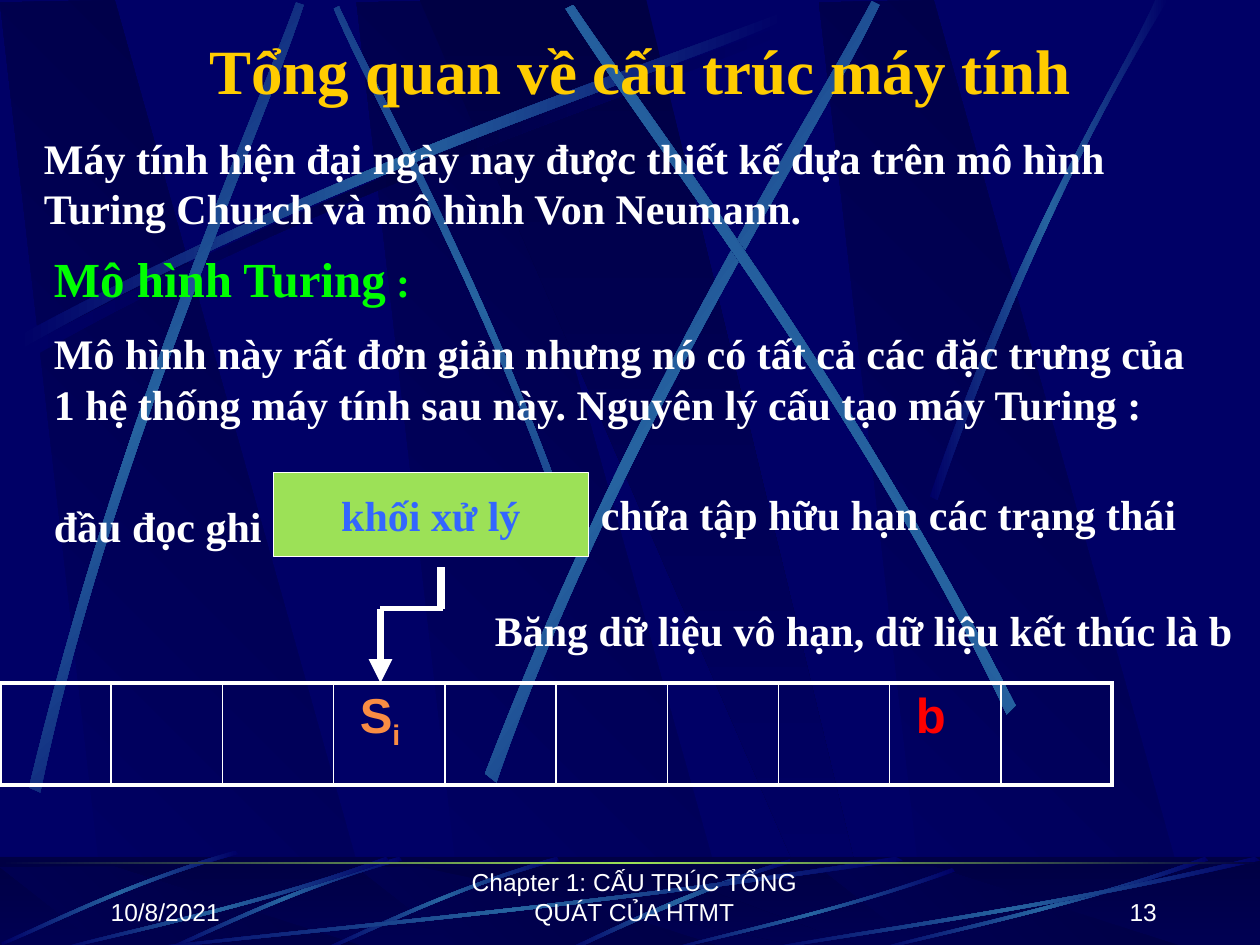
from copy import deepcopy
from typing import NamedTuple

from lxml import etree
from pptx import Presentation
from pptx.dml.color import RGBColor
from pptx.enum import shapes as kinds, text as txt
from pptx.oxml.ns import qn
from pptx.util import Inches, Pt

HUE = {"navy": "000066", "dark": "000044", "ray": "2663A0", "lime": "9CE157",
       "white": "FFFFFF", "gold": "FFCC00", "green": "00FF00",
       "blue": "3366FF", "orange": "F98D43", "red": "FF0000"}
SERIF, SANS = "Times New Roman", "Arial"
LEFT, MID, RIGHT = txt.PP_ALIGN.LEFT, txt.PP_ALIGN.CENTER, txt.PP_ALIGN.RIGHT
GLOW = ("navy", "ray", "navy")
SHADE = ("navy", "dark", "navy")
FADE = ("navy", "dark")
RISE = ("dark", "navy")


class Ray(NamedTuple):
    """Two Bezier edges, four points each, drawn at each move."""
    pts: list
    angle: float = 0
    moves: tuple = ((0, 0),)
    hues: tuple = GLOW


class Note(NamedTuple):
    box: tuple
    words: str
    size: int = 24
    face: str = SERIF
    align: int = LEFT
    low: bool = False


def rgb(name: str) -> RGBColor:
    return RGBColor.from_string(HUE[name])


def blend(shape, hues: tuple, angle: float) -> None:
    """Give the shape an even linear gradient and no outline."""
    shape.shadow.inherit = False
    shape.line.fill.background()
    shape.fill.gradient()
    shape.fill.gradient_angle = angle
    stops = shape._element.spPr.find(".//" + qn("a:gsLst"))
    for _ in hues[2:]:
        stops.append(deepcopy(stops[-1]))
    for i, (stop, hue) in enumerate(zip(shape.fill.gradient_stops, hues)):
        stop.color.rgb = rgb(hue)
        stop.position = i / (len(hues) - 1)


def poly(pool, pts: list, hues: tuple, angle: float):
    ends = [(Inches(x), Inches(y)) for x, y in pts]
    pen = pool.build_freeform(*ends[0], scale=1.0)
    pen.add_line_segments(ends[1:], close=True)
    shape = pen.convert_to_shape()
    blend(shape, hues, angle)
    return shape


def beam(pool, ray: Ray) -> None:
    for dx, dy in ray.moves:
        pts = [(x + dx, y + dy) for x, y in ray.pts]
        shape = poly(pool, pts, ray.hues, ray.angle)
        legs = list(shape._element.iter(qn("a:lnTo")))
        for trio in (legs[:3], legs[4:7]):
            bend = etree.Element(qn("a:cubicBezTo"))
            trio[0].addprevious(bend)
            for leg in trio:
                bend.append(leg[0])
                leg.getparent().remove(leg)


def rect(pool, x: float, y: float, w: float, h: float):
    shape = pool.add_shape(kinds.MSO_SHAPE.RECTANGLE, *map(Inches, (x, y, w, h)))
    shape.shadow.inherit = False
    return shape


def style(font, size: int, face: str, hue: str, bold: bool = True) -> None:
    font.size, font.name, font.bold = Pt(size), face, bold
    font.color.rgb = rgb(hue)


def write(note: Note):
    frame = slide.shapes.add_textbox(*map(Inches, note.box)).text_frame
    frame.word_wrap = True
    if note.low:
        frame.vertical_anchor = txt.MSO_ANCHOR.BOTTOM
    para = frame.paragraphs[0]
    para.text, para.alignment = note.words, note.align
    style(para.font, note.size, note.face, "white", note.face == SERIF)
    return frame


def link(a: tuple, b: tuple, width: float, arrow: bool = False) -> None:
    wire = slide.shapes.add_connector(kinds.MSO_CONNECTOR.STRAIGHT,
                                      *map(Inches, a + b))
    wire.line.width = Pt(width)
    wire.line.color.rgb = rgb("white")
    etree.SubElement(wire._element.spPr, qn("a:effectLst"))
    if arrow:
        etree.SubElement(wire.line._get_or_add_ln(), qn("a:tailEnd"), type="triangle")


def frame_cell(cell, sides: dict) -> None:
    """Draw white borders; sides maps L, R, T, B to points."""
    props = cell._tc.get_or_add_tcPr()
    for i, (side, width) in enumerate(sides.items()):
        line = etree.Element(qn(f"a:ln{side}"), w=str(Pt(width)))
        fill = etree.SubElement(line, qn("a:solidFill"))
        etree.SubElement(fill, qn("a:srgbClr"), val=HUE["white"])
        props.insert(i, line)


def run(para, words: str, size: int, face: str, hue: str):
    part = para.add_run()
    part.text = words
    style(part.font, size, face, hue)
    return part


PANEL = [(0.86, 7.5), (3.02, 7.52), (0.91, 0), (0, 0.02)]
WEDGE = [(3.33, 0), (6.58, 7.5), (6.94, 7.5), (5.13, 0)]
LONG = [(0.14, 2.67), (2.78, 1.25), (5.18, 0.51), (6.2, 0.1),
        (6.23, 0.16), (5.22, 0.61), (2.48, 1.43), (0.17, 2.77)]
RAYS = [
    Ray(LONG, moves=((0.06, 0.08),), hues=SHADE),
    Ray([(4.6, 4.36), (3.91, 2.34), (3.02, 0.77), (2.69, 0.05),
         (2.65, 0.07), (2.95, 0.79), (3.98, 2.58), (4.54, 4.39)], 45),
    Ray(LONG),
    Ray([(0.23, 6.25), (0.93, 3.34), (1.97, 1.05), (2.35, 0.02),
         (2.41, 0.04), (2.07, 1.09), (0.86, 3.68), (0.32, 6.29)], 312),
    Ray([(3.85, 6.14), (4.98, 3.2), (6.38, 1.02), (6.92, 0.01),
         (6.98, 0.04), (6.49, 1.08), (4.86, 3.55), (3.94, 6.21)], 322),
    Ray([(8.06, 5.6), (6.7, 2.93), (5.16, 0.95), (4.55, 0.04),
         (4.49, 0.07), (5.07, 1.01), (6.85, 3.25), (7.99, 5.67)], 35),
    Ray([(7.38, 3.94), (8.14, 1.73), (8.88, 0.66), (9.17, 0),
         (9.27, 0), (8.36, 1.45), (7.69, 3.22), (7.44, 3.97)]),
]
FOOT = [
    Ray([(6.27, 6.82), (5.37, 7.09), (4.77, 7.42), (4.48, 7.54),
         (4.53, 7.55), (4.9, 7.38), (5.71, 7), (6.28, 6.85)]),
    Ray([(4.42, 6.8), (3.55, 7.05), (2.87, 7.4), (2.56, 7.53),
         (2.57, 7.55), (2.88, 7.43), (3.65, 7.03), (4.44, 6.83)],
        moves=((0, 0), (-1.25, 0), (-2.55, -0.05))),
]
# One low sweep in a unit box, then the boxes it fills: left, top, width, height
SWEEP = [(1, 0.04), (0.57, 0.57), (0.17, 0.85), (0.01, 1),
         (0, 0.99), (0.16, 0.81), (0.61, 0.51), (0.99, 0)]
SPANS = [(1, 6.8, 6.17, 0.75), (0.42, 6.8, 2.67, 0.75), (5.27, 6.89, 2.31, 0.66),
         (6.92, 6.8, 2.67, 0.75), (6, 6.8, 4, 0.75)]
NOTES = [
    Note((0.78, 6.9, 2.08, 0.5), "10/8/2021", 14, SANS, LEFT, True),
    Note((3.45, 6.9, 3.17, 0.5), "Chapter 1: CẤU TRÚC TỔNG QUÁT CỦA HTMT",
         14, SANS, MID, True),
    Note((7.2, 6.9, 2.08, 0.5), "13", 14, SANS, RIGHT, True),
    Note((0.25, 1, 9.42, 0.9), "Máy tính hiện đại ngày nay được thiết kế dựa trên "
         "mô hình Turing Church và mô hình Von Neumann."),
    Note((0.33, 3.92, 2, 0.5), "đầu đọc ghi"),
    Note((4.67, 3.83, 4.92, 0.5), "chứa tập hữu hạn các trạng thái"),
    Note((3.83, 4.75, 6.17, 0.5), "Băng dữ liệu vô hạn, dữ liệu kết thúc là b"),
]


def backdrop() -> None:
    """Draw the rays as one group and hand it to the slide master."""
    master = deck.slide_master
    master.background.fill.solid()
    master.background.fill.fore_color.rgb = rgb("navy")
    group = slide.shapes.add_group_shape()
    pool = group.shapes
    for top, tall in ((0, 1), (6.88, 0.09)):
        if top:
            blend(rect(pool, 0, 6.8, 10, 0.75), RISE, 270)
        for dx in (2.83, 0, 6.5):
            poly(pool, [(x + dx, top + y * tall) for x, y in PANEL], FADE, 45)
        poly(pool, [(x, top + y * tall) for x, y in WEDGE], RISE, 270)
        if not top:
            for ray in RAYS:
                beam(pool, ray)
    veil = rect(pool, 0, 6.8, 10, 0.75)
    veil.line.fill.background()
    veil.fill.solid()
    veil.fill.fore_color.rgb = rgb("dark")
    tint = veil._element.spPr.find(".//" + qn("a:srgbClr"))
    etree.SubElement(tint, qn("a:alpha"), val="50000")
    for ray in FOOT:
        beam(pool, ray)
    for x, y, w, h in SPANS:
        beam(pool, Ray([(x + u * w, y + v * h) for u, v in SWEEP]))
    blend(rect(pool, 0, 6.84, 10, 0.02), ("dark", "lime", "dark"), 0)
    for i, mark in enumerate(group._element.iter(qn("p:cNvPr"))):
        mark.set("id", str(100 + i))
    master.shapes._spTree.insert(2, group._element)


def heading() -> None:
    title = slide.shapes.title
    title.left, title.top, title.width, title.height = map(Inches, (0.83, 0.2, 8.5, 0.7))
    title.text = "Tổng quan về cấu trúc máy tính"
    title.text_frame.vertical_anchor = txt.MSO_ANCHOR.MIDDLE
    para = title.text_frame.paragraphs[0]
    para.alignment = MID
    style(para.font, 36, SERIF, "gold")


def tape(cols: int = 10) -> None:
    grid = slide.shapes.add_table(1, cols, 0, Inches(5.42), Inches(8.83), Inches(0.81)).table
    grid.first_row = grid.horz_banding = False
    for i in range(cols):
        cell = grid.cell(0, i)
        cell.fill.background()
        frame_cell(cell, {"L": 1 if i else 2.25, "R": 1 if i < cols - 1 else 2.25,
                          "T": 2.25, "B": 2.25})
    state = grid.cell(0, 3).text_frame.paragraphs[0]
    run(state, " S", 28, SANS, "orange")
    run(state, "i", 28, SANS, "orange").font._element.set("baseline", "-25000")
    run(grid.cell(0, 8).text_frame.paragraphs[0], " b", 28, SANS, "red")


def machine() -> None:
    unit = rect(slide.shapes, 2.17, 3.75, 2.5, 0.67)
    unit.fill.solid()
    unit.fill.fore_color.rgb = rgb("lime")
    unit.line.color.rgb = rgb("white")
    unit.line.width = Pt(0.75)
    unit.text_frame.word_wrap = False
    unit.text_frame.vertical_anchor = txt.MSO_ANCHOR.MIDDLE
    para = unit.text_frame.paragraphs[0]
    para.text, para.alignment = "khối xử lý", MID
    style(para.font, 24, SERIF, "blue")
    link((3.02, 4.83), (3.02, 5.42), 4.5, arrow=True)
    link((3.02, 4.83), (3.52, 4.83), 3)
    link((3.5, 4.83), (3.5, 4.5), 4.5)


def turing() -> None:
    frame = write(Note((0.33, 1.92, 9.42, 1.57), ""))
    head = frame.paragraphs[0]
    run(head, "Mô hình Turing", 28, SERIF, "green")
    run(head, " :", 24, SERIF, "green")
    body = frame.add_paragraph()
    body.text = ("Mô hình này rất đơn giản nhưng nó có tất cả các đặc trưng của "
                 "1 hệ thống máy tính sau này. Nguyên lý cấu tạo máy Turing :")
    body.space_before = Pt(12)
    style(body.font, 24, SERIF, "white")


deck = Presentation()
deck.slide_width, deck.slide_height = Inches(10), Inches(7.5)
slide = deck.slides.add_slide(deck.slide_layouts[5])
backdrop()
heading()
tape()
machine()
for note in NOTES:
    write(note)
turing()
deck.save("out.pptx")
